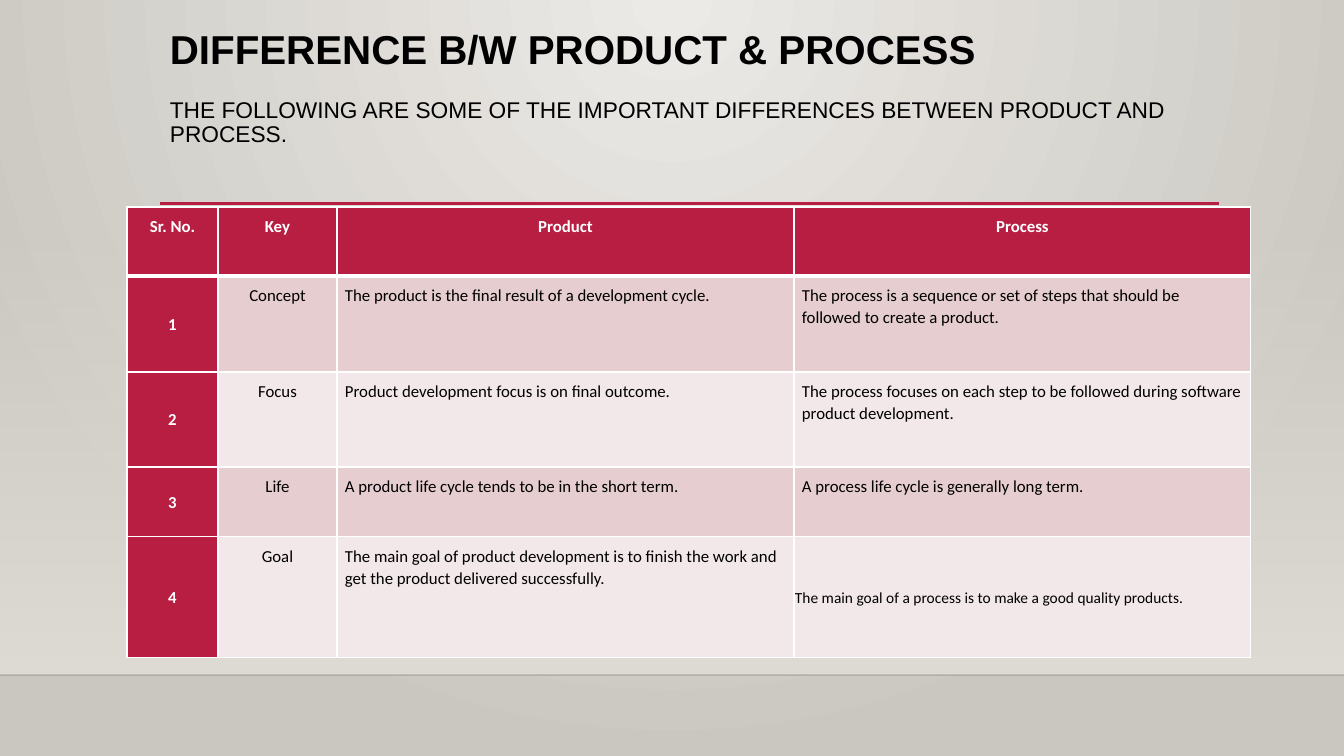
"""Build the slide that compares product and process in a table."""
import dataclasses

import pptx
import pptx.dml.color
import pptx.enum.shapes
import pptx.enum.text
import pptx.oxml
import pptx.oxml.ns
import pptx.util


@dataclasses.dataclass(frozen=True)
class Theme:
    accent: str = "B71E42"
    band_dark: str = "E6CDCF"
    band_light: str = "F3E8E9"
    white: str = "FFFFFF"
    black: str = "000000"
    backdrop_center: str = "ECEAE7"
    backdrop_edge: str = "CAC7C1"
    wall: str = "DFDBD5"
    heading_font: str = "Arial"
    table_font: str = "Calibri"
    title_size: float = 28.8
    subtitle_size: float = 16.2
    table_size: float = 12
    small_size: float = 11


theme = Theme()
PIXEL = 914400 / 100.8
NAMESPACE = pptx.oxml.ns.nsdecls("a")
qn = pptx.oxml.ns.qn


def px(pixels):
    return pptx.util.Emu(round(pixels * PIXEL))


def style_font(paragraph, name, size, color, bold):
    paragraph.font.name = name
    paragraph.font.size = pptx.util.Pt(size)
    paragraph.font.color.rgb = pptx.dml.color.RGBColor.from_string(color)
    paragraph.font.bold = bold


presentation = pptx.Presentation()
presentation.slide_width = px(1344)
presentation.slide_height = px(756)
slide = presentation.slides.add_slide(presentation.slide_layouts[6])

wall = slide.shapes.add_shape(
    pptx.enum.shapes.MSO_SHAPE.RECTANGLE, px(0), px(223), px(1344), px(452))
wall.shadow.inherit = False
wall.line.fill.background()

for fill, colors in (
        (slide.background.fill, (theme.backdrop_center, theme.backdrop_edge)),
        (wall.fill, (theme.wall, theme.wall))):
    fill.gradient()
    for stop, color, position in zip(fill.gradient_stops, colors, (0, 1)):
        stop.color.rgb = pptx.dml.color.RGBColor.from_string(color)
        stop.position = position
wall.fill.gradient_angle = 270

clear_color = wall._element.spPr.find(".//" + qn("a:srgbClr"))
clear_color.append(pptx.oxml.parse_xml(f'<a:alpha {NAMESPACE} val="0"/>'))
backdrop = slide._element.find(".//" + qn("p:bg")).find(".//" + qn("a:gradFill"))
backdrop.replace(backdrop.find(qn("a:lin")), pptx.oxml.parse_xml(
    f'<a:path {NAMESPACE} path="circle">'
    '<a:fillToRect l="43000" t="0" r="43000" b="100000"/></a:path>'))

for left, right, y, color, width, opacity in (
        (0, 1344, 675, theme.black, 1, 20),
        (160, 1219, 203.5, theme.accent, 2.5, 100)):
    rule = slide.shapes.add_connector(
        pptx.enum.shapes.MSO_CONNECTOR.STRAIGHT, px(left), px(y), px(right), px(y))
    rule.line.color.rgb = pptx.dml.color.RGBColor.from_string(color)
    rule.line.width = pptx.util.Pt(width)
    rule._element.spPr.append(pptx.oxml.parse_xml(f"<a:effectLst {NAMESPACE}/>"))
    if opacity < 100:
        rule._element.spPr.find(".//" + qn("a:srgbClr")).append(
            pptx.oxml.parse_xml(f'<a:alpha {NAMESPACE} val="{opacity * 1000}"/>'))

heading = slide.shapes.add_textbox(px(160), px(25), px(1058), px(178)).text_frame
heading.word_wrap = True
heading.text = (
    "DIFFERENCE B/W PRODUCT & PROCESS\n"
    "THE FOLLOWING ARE SOME OF THE IMPORTANT DIFFERENCES BETWEEN PRODUCT AND PROCESS.")
title, subtitle = heading.paragraphs
style_font(title, theme.heading_font, theme.title_size, theme.black, True)
style_font(subtitle, theme.heading_font, theme.subtitle_size, theme.black, False)
title.line_spacing = subtitle.line_spacing = 0.9
subtitle.space_before = pptx.util.Pt(18)

column_widths = (91, 119, 457, 457)
row_heights = (69, 96, 95, 70, 121)
rows = (
    ("Sr. No.", "Key", "Product", "Process"),
    ("1", "Concept", "The product is the final result of a development cycle.",
     "The process is a sequence or set of steps that should be followed to create a product."),
    ("2", "Focus", "Product development focus is on final outcome.",
     "The process focuses on each step to be followed during software product development."),
    ("3", "Life", "A product life cycle tends to be in the short term.",
     "A process life cycle is generally long term."),
    ("4", "Goal",
     "The main goal of product development is to finish the work and get the product "
     "delivered successfully.",
     "The main goal of a process is to make a good quality products."),
)
table = slide.shapes.add_table(
    len(rows), len(column_widths), px(127), px(207),
    px(sum(column_widths)), px(sum(row_heights))).table
for column, width in zip(table.columns, column_widths):
    column.width = px(width)
for row, height in zip(table.rows, row_heights):
    row.height = px(height)

for row_index, row in enumerate(rows):
    for column_index, text in enumerate(row):
        cell = table.cell(row_index, column_index)
        is_header = row_index == 0
        is_accent = is_header or column_index == 0
        is_last = (row_index, column_index) == (len(rows) - 1, len(row) - 1)
        band = theme.band_dark if row_index % 2 else theme.band_light

        cell.text = text
        paragraph = cell.text_frame.paragraphs[0]
        style_font(
            paragraph, theme.table_font,
            theme.small_size if is_last else theme.table_size,
            theme.white if is_accent else theme.black, is_accent)
        paragraph.line_spacing = 1.07
        paragraph.space_after = pptx.util.Pt(15)
        if is_header or column_index < 2:
            paragraph.alignment = pptx.enum.text.PP_ALIGN.CENTER
        if is_last or (column_index == 0 and not is_header):
            cell.vertical_anchor = pptx.enum.text.MSO_ANCHOR.MIDDLE
        inset = px(1 if is_last else 8)
        cell.margin_left = cell.margin_right = inset
        cell.margin_top = cell.margin_bottom = inset
        cell.fill.solid()
        cell.fill.fore_color.rgb = pptx.dml.color.RGBColor.from_string(
            theme.accent if is_accent else band)

        properties = cell._tc.get_or_add_tcPr()
        for position, side in enumerate("LRTB"):
            is_thick = (row_index, side) in ((0, "B"), (1, "T"))
            width = pptx.util.Pt(3 if is_thick else 1)
            properties.insert(position, pptx.oxml.parse_xml(
                f'<a:ln{side} {NAMESPACE} w="{width}"><a:solidFill>'
                f'<a:srgbClr val="{theme.white}"/></a:solidFill></a:ln{side}>'))

presentation.save("out.pptx")
